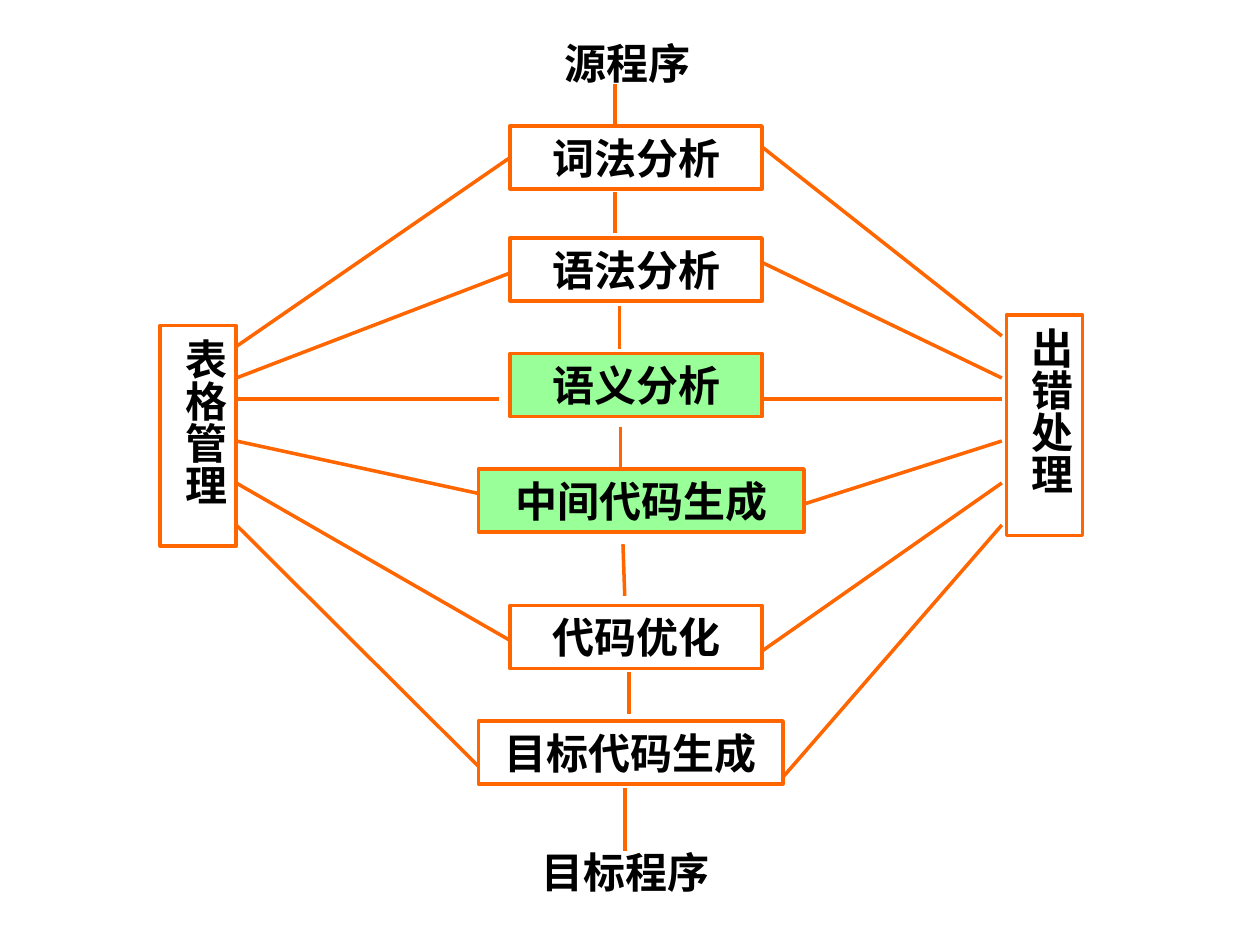
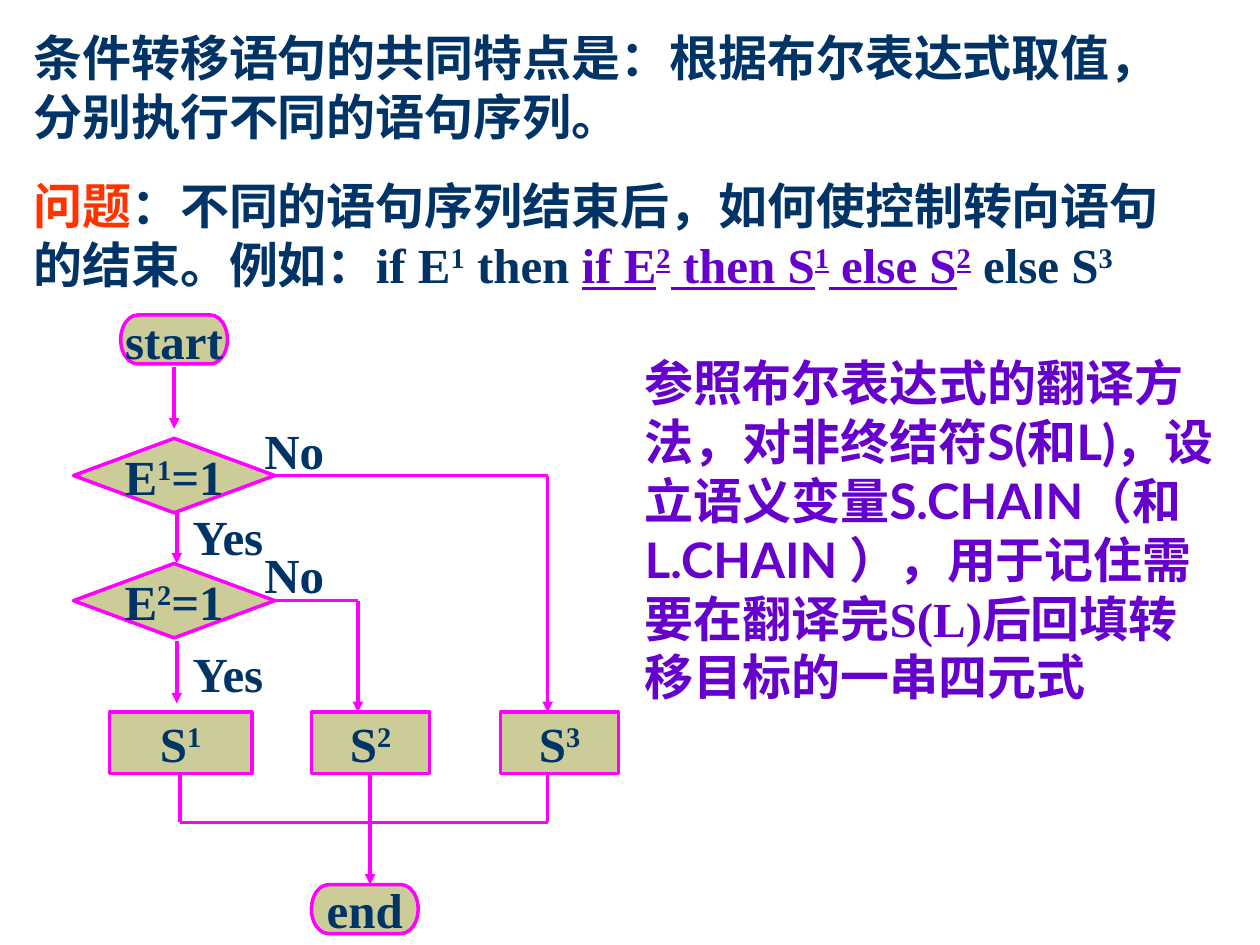
from pptx import Presentation
from pptx.dml.color import RGBColor
from pptx.enum.lang import MSO_LANGUAGE_ID as Lang
from pptx.enum.shapes import MSO_CONNECTOR as Conn, MSO_SHAPE as Form
from pptx.enum.text import MSO_ANCHOR as Anchor, PP_ALIGN as Align
from pptx.oxml.ns import qn
from pptx.util import Pt
from lxml import etree

WHITE = RGBColor(0xFF, 0xFF, 0xFF)
BLACK = RGBColor(0x01, 0x00, 0x00)
ORANGE = RGBColor(0xFF, 0x66, 0x00)
GREEN = RGBColor(0x99, 0xFF, 0x99)
NAVY = RGBColor(0x00, 0x33, 0x66)
RED = RGBColor(0xFF, 0x33, 0x00)
PURPLE = RGBColor(0x66, 0x00, 0xCC)
KHAKI = RGBColor(0xCC, 0xCC, 0x99)
PINK = RGBColor(0xFF, 0x00, 0xFF)
SERIF, SANS = "Times New Roman", "Lato"
STROKE = 2


def write(frame, *paras, size=28, color=NAVY, font=SERIF, align=Align.LEFT,
          anchor=Anchor.TOP, wrap=True, gap=17.5):
    """Each paragraph is a string or a list of (text, format) pairs; ^ raises the next character."""
    frame.word_wrap, frame.vertical_anchor = wrap, anchor
    for i, para in enumerate(paras):
        line = frame.paragraphs[0] if i == 0 else frame.add_paragraph()
        line.alignment = align
        if i:
            line.space_before = Pt(gap)
        for words, look in [(para, {})] if isinstance(para, str) else para:
            head, *tails = words.split("^")
            parts = [(head, False)]
            for tail in tails:
                parts += [(tail[0], True), (tail[1:], False)]
            for part, raised in parts:
                if not part:
                    continue
                run = line.add_run()
                run.text = part
                style = run.font
                style.size, style.bold = Pt(size), True
                style.name = look.get("font", font)
                style.color.rgb = look.get("color", color)
                style.language_id = Lang.SIMPLIFIED_CHINESE
                if look.get("under"):
                    style.underline = True
                if raised:
                    run._r.get_or_add_rPr().set("baseline", "30000")


def label(slide, x, y, w, h, *paras, **look):
    box = slide.shapes.add_textbox(Pt(x), Pt(y), Pt(w), Pt(h))
    write(box.text_frame, *paras, **look)


def block(slide, form, x, y, w, h, words, fill, edge, **look):
    shape = slide.shapes.add_shape(form, Pt(x), Pt(y), Pt(w), Pt(h))
    shape.shadow.inherit = False
    shape.fill.solid()
    shape.fill.fore_color.rgb = fill
    shape.line.color.rgb, shape.line.width = edge, Pt(STROKE)
    write(shape.text_frame, words, align=Align.CENTER, **look)
    return shape


def link(slide, x1, y1, x2, y2, color, arrow=False):
    line = slide.shapes.add_connector(Conn.STRAIGHT, Pt(x1), Pt(y1), Pt(x2), Pt(y2))
    line.line.color.rgb, line.line.width = color, Pt(STROKE)
    if arrow:
        etree.SubElement(line.line._get_or_add_ln(), qn("a:tailEnd"), type="triangle")
    etree.SubElement(line._element.spPr, qn("a:effectLst"))


def phases(slide, left, top, width):
    """Compiler phases between the two side bars."""
    look = dict(size=24, color=BLACK)
    side_w, side_h = 43.5, 126

    label(slide, left + 224, top, 90, 36, "源程序", **look)
    label(slide, left + 211, top + 462, 126, 36, "目标程序", **look)

    # Side bars with vertical text
    for words, x, y in (("表格管理", 0, 168), ("出错处理", width - side_w, 162)):
        bar = block(slide, Form.RECTANGLE, left + x, top + y, side_w, side_h,
                    words, WHITE, ORANGE, **look)
        frame = bar.text_frame
        frame.margin_left = frame.margin_right = Pt(3.6)
        frame.margin_top = frame.margin_bottom = Pt(7.2)
        frame._txBody.bodyPr.set("vert", "eaVert")

    # Phase: text, x, y, width, fill, gap and height at left, height at right
    rows = (
        ("词法分析", 200, 54, 144, WHITE, 0, 72, 66),
        ("语法分析", 200, 118, 144, WHITE, 0, 138, 132),
        ("语义分析", 200, 184, 144, GREEN, 6.5, 210, 210),
        ("中间代码生成", 182, 250, 186, GREEN, 0, 264, 270),
        ("代码优化", 200, 328, 144, WHITE, 0, 348, 354),
        ("目标代码生成", 182, 394, 174, WHITE, 0, 420, 426),
    )
    ports = (180, 198, 210, 234, 258, 282)
    for i, (words, x, y, w, fill, gap, y1, y2) in enumerate(rows):
        block(slide, Form.RECTANGLE, left + x, top + y, w, 36,
              words, fill, ORANGE, **look)
        link(slide, left + side_w, top + ports[i], left + x - gap, top + y1, ORANGE)
        port = ports[i] if i else 174
        link(slide, left + x + w, top + y2, left + width - side_w - 2.5, top + port, ORANGE)

    # Stems from phase to phase
    for x1, y1, x2, y2 in ((260, 30, 260, 54), (260, 91.5, 260, 115),
                           (262.5, 157, 262.5, 181.5), (263, 226, 263, 250),
                           (264.5, 293, 265.5, 322.5), (268, 366, 268, 390),
                           (265.5, 432, 265.5, 468)):
        link(slide, left + x1, top + y1, left + x2, top + y2, ORANGE)


def intro(slide, x, y, w, h):
    label(slide, x, y, w, h,
          "条件转移语句的共同特点是：根据布尔表达式取值，分别执行不同的语句序列。",
          [("问题", dict(color=RED)),
           ("：不同的语句序列结束后，如何使控制转向语句的结束。例如：if E^1 then ", {}),
           ("if E^2 then S^1 else S^2", dict(color=PURPLE, under=True)),
           (" else S^3", {})])


def remark(slide, x, y, w, h):
    sans = dict(font=SANS)
    label(slide, x, y, w, h,
          [("参照布尔表达式的翻译方法，对非终结符", {}), ("S(和L)，", sans),
           ("设立语义变量", {}), ("S.CHAIN（和L.CHAIN ）", sans),
           ("，用于记住需要在翻译完S(L)后回填转移目标的一串四元式", {})],
          color=PURPLE)


def flow(slide, left, top):
    """Flow chart of the nested conditional."""
    def node(form, x, y, w, h, words):
        block(slide, form, left + x, top + y, w, h, words, KHAKI, PINK,
              anchor=Anchor.MIDDLE, wrap=False)

    def wire(x1, y1, x2, y2, arrow=False):
        link(slide, left + x1, top + y1, left + x2, top + y2, PINK, arrow)

    test_w, test_h = 115, 42.5
    row, row_h, join, stop = 227, 35, 290, 325.5

    # Tests, each with its No branch
    for words, y, turn in (("E^1=1", 70.5, 271), ("E^2=1", 142, 162.5)):
        node(Form.FLOWCHART_DECISION, 0, y, test_w, test_h, words)
        mid = y + test_h / 2
        wire(test_w, mid, turn, mid)
        wire(turn, mid, turn, row, True)

    # Statements, each with its way down to the join
    for words, x, w, drop in (("S^1", 20.5, 81.5, 61), ("S^2", 136, 67.5, 169.5),
                              ("S^3", 244, 67.5, 271)):
        node(Form.FLOWCHART_PROCESS, x, row, w, row_h, words)
        wire(drop, row + row_h, drop, join)
    wire(61, join, 271, join)
    wire(169.5, join, 169.5, stop, True)

    # Main way down
    for x, y1, y2 in ((57.5, 29.5, 65), (59, 113, 142), (59, 186.5, 222)):
        wire(x, y1, x, y2, True)

    # Ends and branch labels
    for words, x, y in (("start", 27, 0), ("end", 136, stop)):
        node(Form.FLOWCHART_TERMINATOR, x, y, 61, 28, words)
    for words, x, y in (("No", 102, 57), ("Yes", 61, 106),
                        ("No", 102, 127.5), ("Yes", 61, 184)):
        label(slide, left + x, top + y, 67.5, 41, words)


def main():
    deck = Presentation()
    deck.slide_width, deck.slide_height = Pt(720), Pt(540)
    blank = deck.slide_layouts[6]

    phases(deck.slides.add_slide(blank), 91.5, 18, 527)

    slide = deck.slides.add_slide(blank)
    intro(slide, 12, 12, 684, 159)
    flow(slide, 42, 180)
    remark(slide, 361.5, 198, 346.5, 209)

    deck.save("out.pptx")


if __name__ == "__main__":
    main()
